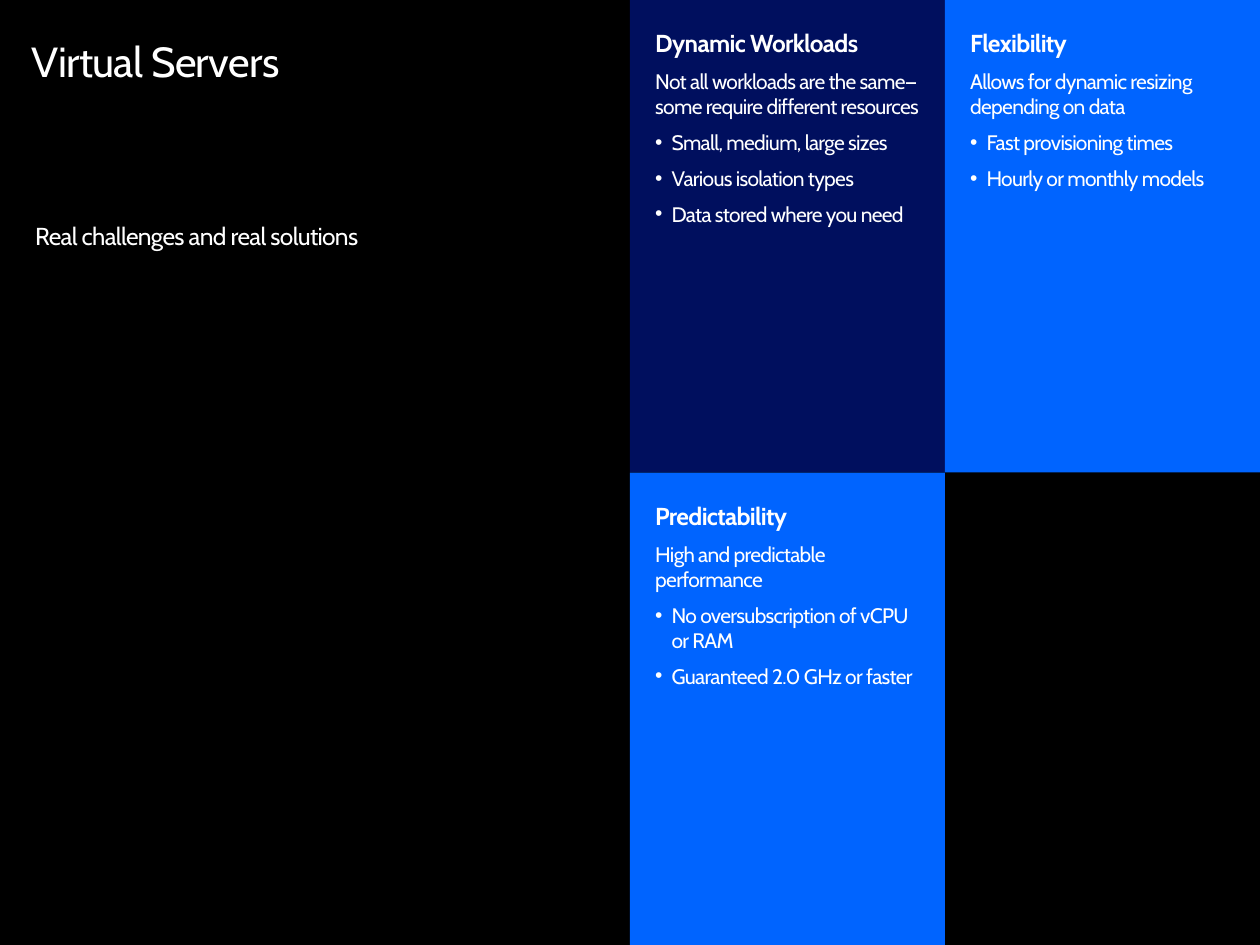
from lxml.etree import SubElement
from pptx import Presentation
from pptx.dml.color import RGBColor
from pptx.enum.shapes import MSO_SHAPE
from pptx.enum.text import MSO_ANCHOR, PP_ALIGN
from pptx.oxml.ns import qn
from pptx.util import Cm, Pt

COLORS = {"black": "000000", "white": "FFFFFF", "navy": "000F5E", "blue": "0064FF"}

# column, row, fill, heading, lead-in, bullets
PANELS = [
    (2, 0, "navy", "Dynamic Workloads",
     "Not all workloads are the same—some require different resources",
     ["Small, medium, large sizes", "Various isolation types",
      "Data stored where you need"]),
    (3, 0, "blue", "Flexibility",
     "Allows for dynamic resizing depending on data",
     ["Fast provisioning times", "Hourly or monthly models"]),
    (2, 1, "blue", "Predictability",
     "High and predictable performance",
     ["No oversubscription of vCPU or RAM", "Guaranteed 2.0 GHz or faster"]),
]


def format_paragraph(p, size, bold=False, line=1.0, before=6):
    p.alignment = PP_ALIGN.LEFT
    p.line_spacing = line
    p.space_before = Pt(before)
    for r in p.runs:
        r.font.name = "Cabin"
        r.font.size = Pt(size)
        r.font.bold = bold
        r.font.color.rgb = RGBColor.from_string(COLORS["white"])
        r.font._element.set("spc", "-40")


def set_frame(tf, side, top):
    """Wrap text from the top left, with the given insets."""
    tf.word_wrap = True
    tf.vertical_anchor = MSO_ANCHOR.TOP
    tf.margin_left = tf.margin_right = Cm(side)
    tf.margin_top = tf.margin_bottom = Cm(top)


prs = Presentation()
prs.slide_width = Cm(25.4)
prs.slide_height = Cm(19.05)
s = prs.slides.add_slide(prs.slide_layouts[6])
s.background.fill.solid()
s.background.fill.fore_color.rgb = RGBColor.from_string(COLORS["black"])

# Title and subtitle
for text, left, top, height, size, before in [
    ("Virtual Servers", 0.64, 0.84, 1.42, 24, 0),
    ("Real challenges and real solutions", 0.71, 4.52, 3, 14, 6),
]:
    sp = s.shapes.add_textbox(Cm(left), Cm(top), Cm(11.43), Cm(height))
    tf = sp.text_frame
    set_frame(tf, 0, 0)
    tf.text = text
    format_paragraph(tf.paragraphs[0], size, line=0.9, before=before)

# Panels on a grid of four columns and two rows
width, height = prs.slide_width // 4, prs.slide_height // 2
for column, row, fill, heading, lead, bullets in PANELS:
    sp = s.shapes.add_shape(MSO_SHAPE.RECTANGLE, column * width, row * height,
                            width, height)
    sp.shadow.inherit = False
    sp.fill.solid()
    sp.fill.fore_color.rgb = RGBColor.from_string(COLORS[fill])
    sp.line.fill.background()

    tf = sp.text_frame
    set_frame(tf, 0.51, 0.64)
    tf.text = "\n".join([heading, lead, *bullets])
    format_paragraph(tf.paragraphs[0], 14, bold=True, line=0.9)
    for p in tf.paragraphs[1:]:
        format_paragraph(p, 12)
    for p in tf.paragraphs[2:]:
        pPr = p._p.get_or_add_pPr()
        pPr.set("marL", str(Cm(0.33)))
        pPr.set("indent", str(-Cm(0.33)))
        SubElement(pPr, qn("a:buFont"), typeface="Arial")
        SubElement(pPr, qn("a:buChar"), char="•")

prs.save("out.pptx")
